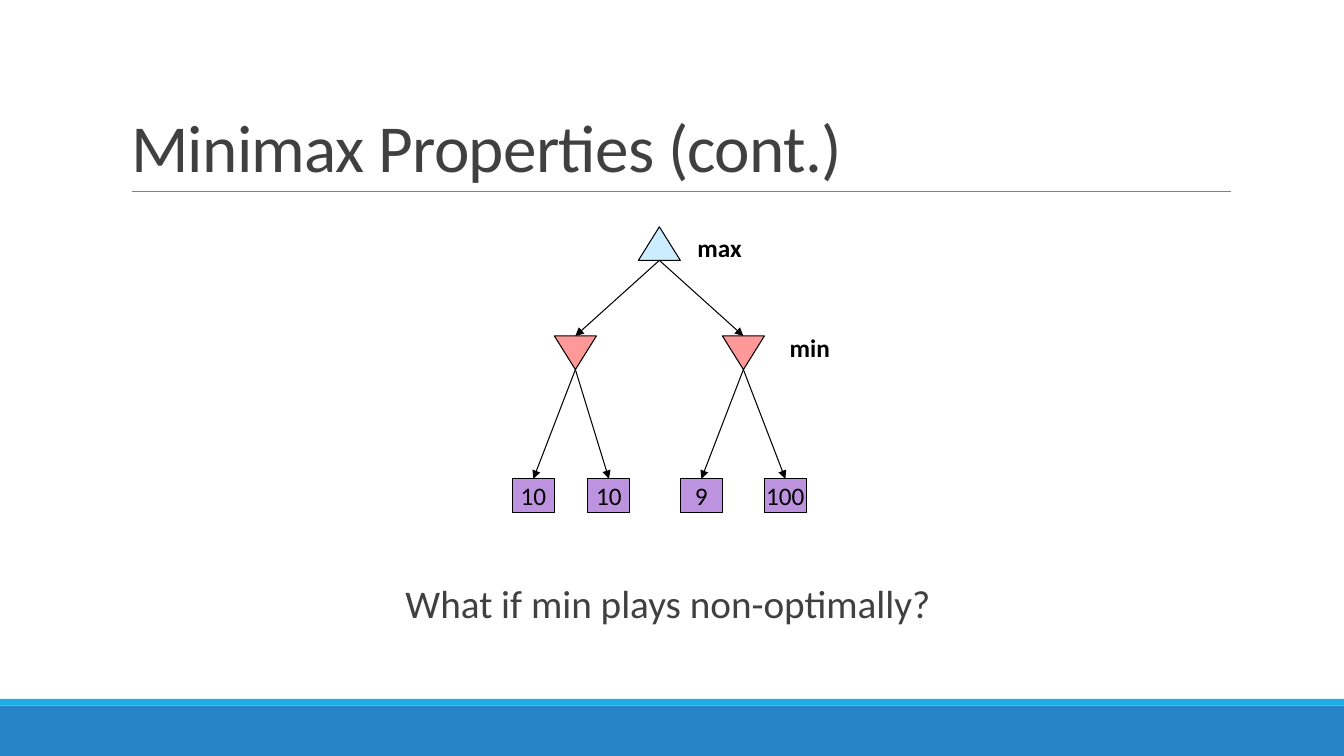
from lxml.etree import SubElement
from pptx import Presentation
from pptx.dml.color import RGBColor
from pptx.enum.shapes import MSO_CONNECTOR, MSO_SHAPE
from pptx.enum.text import MSO_ANCHOR, MSO_AUTO_SIZE, PP_ALIGN
from pptx.oxml.ns import qn
from pptx.util import Inches, Pt

COLS, ROWS = 160, 90  # grid of 1/12 inch cells
NODE_W, NODE_H = 5, 4


def color(hex_string):
    return RGBColor.from_string(hex_string)


def cells(*values):
    return [Inches(v / 12) for v in values]


class TreeSlide:
    font = "Calibri"
    ink, gray = "000000", "404040"

    def __init__(self, prs):
        self.slide = prs.slides.add_slide(prs.slide_layouts[5])
        self.shapes = self.slide.shapes

    def style(self, tf, size, hex_string, bold=False, align=PP_ALIGN.CENTER,
              anchor=MSO_ANCHOR.MIDDLE):
        tf.auto_size = MSO_AUTO_SIZE.NONE
        tf.vertical_anchor = anchor
        p = tf.paragraphs[0]
        p.alignment = align
        font = p.runs[0].font
        font.name, font.size, font.bold = self.font, Pt(size), bold
        font.color.rgb = color(hex_string)
        return p

    def title(self, text, *box):
        sp = self.shapes.title
        sp.left, sp.top, sp.width, sp.height = cells(*box)
        tf = sp.text_frame
        tf.text = text
        tf.word_wrap = True
        p = self.style(tf, 48, self.gray, align=PP_ALIGN.LEFT, anchor=MSO_ANCHOR.BOTTOM)
        p.line_spacing = 0.85
        p.runs[0].font._element.set("spc", "-50")

    def shape(self, kind, fill, *box, outline=True):
        sp = self.shapes.add_shape(kind, *cells(*box))
        sp.shadow.inherit = False
        sp.fill.solid()
        sp.fill.fore_color.rgb = color(fill)
        if outline:
            sp.line.color.rgb = color(self.ink)
            sp.line.width = Pt(0.75)
        else:
            sp.line.fill.background()
        return sp

    def node(self, kind, fill, center, top):
        return self.shape(kind, fill, center - NODE_W / 2, top, NODE_W, NODE_H)

    def leaf(self, value, center, top):
        sp = self.node(MSO_SHAPE.RECTANGLE, "BD92DE", center, top)
        tf = sp.text_frame
        tf.text = value
        tf.word_wrap = False
        self.style(tf, 18, self.ink)
        return sp

    def line(self, x1, y1, x2, y2, hex_string, width):
        cxn = self.shapes.add_connector(MSO_CONNECTOR.STRAIGHT, *cells(x1, y1, x2, y2))
        cxn.line.color.rgb = color(hex_string)
        cxn.line.width = Pt(width)
        SubElement(cxn._element.spPr, qn("a:effectLst"))
        return cxn

    def arrow(self, x1, y1, x2, y2):
        cxn = self.line(x1, y1, x2, y2, self.ink, 0.75)
        SubElement(cxn.line._get_or_add_ln(), qn("a:tailEnd"), type="triangle")
        return cxn

    def text(self, text, size, hex_string, *box, **style):
        tf = self.shapes.add_textbox(*cells(*box)).text_frame
        tf.text = text
        tf.word_wrap = True
        return tf, self.style(tf, size, hex_string, **style)

    def question(self, text, *box):
        tf, p = self.text(text, 28, self.gray, *box, anchor=MSO_ANCHOR.TOP)
        tf.margin_left = tf.margin_right = 0
        p.line_spacing, p.space_before, p.space_after = 0.9, Pt(12), Pt(2)
        pPr = p._p.get_or_add_pPr()
        pPr.set("marL", str(Inches(0.1)))
        pPr.set("indent", str(Inches(-0.1)))
        SubElement(pPr, qn("a:buChar"), char=" ")


def main():
    prs = Presentation()
    prs.slide_width, prs.slide_height = cells(COLS, ROWS)
    s = TreeSlide(prs)

    # Footer bands, title and its rule
    s.shape(MSO_SHAPE.RECTANGLE, "2683C6", 0, 84, COLS, 6, outline=False)
    s.shape(MSO_SHAPE.RECTANGLE, "1CADE4", 0, 83.2, COLS, 0.8, outline=False)
    s.line(15.7, 22.8, 146.5, 22.8, "808080", 0.5)
    s.title("Minimax Properties (cont.)", 14.4, 3.7, 132, 19.1)

    # Game tree: max root, min nodes, leaf values
    root_x, root_y, min_y, leaf_y = 78.5, 27, 40, 57
    tree = {68.5: [("10", 63.5), ("10", 72.5)],
            88.5: [("9", 83.5), ("100", 93.5)]}
    s.node(MSO_SHAPE.ISOSCELES_TRIANGLE, "CCECFF", root_x, root_y)
    for min_x, leaves in tree.items():
        sp = s.node(MSO_SHAPE.ISOSCELES_TRIANGLE, "FF9999", min_x, min_y)
        sp.rotation = 180
        s.arrow(root_x, root_y + NODE_H, min_x, min_y)
        for value, leaf_x in leaves:
            leaf = s.leaf(value, leaf_x, leaf_y)
            s.arrow(min_x, min_y + NODE_H, leaf_x, leaf_y).end_connect(leaf, 0)

    # Level labels and closing question
    for label, x, y in [("max", 81.25, 27), ("min", 92, 39)]:
        s.text(label, 18, s.ink, x, y, 8.8, 4.8, bold=True)
    s.question("What if min plays non-optimally?", 30, 69, 96.7, 9)

    prs.save("out.pptx")


if __name__ == "__main__":
    main()
